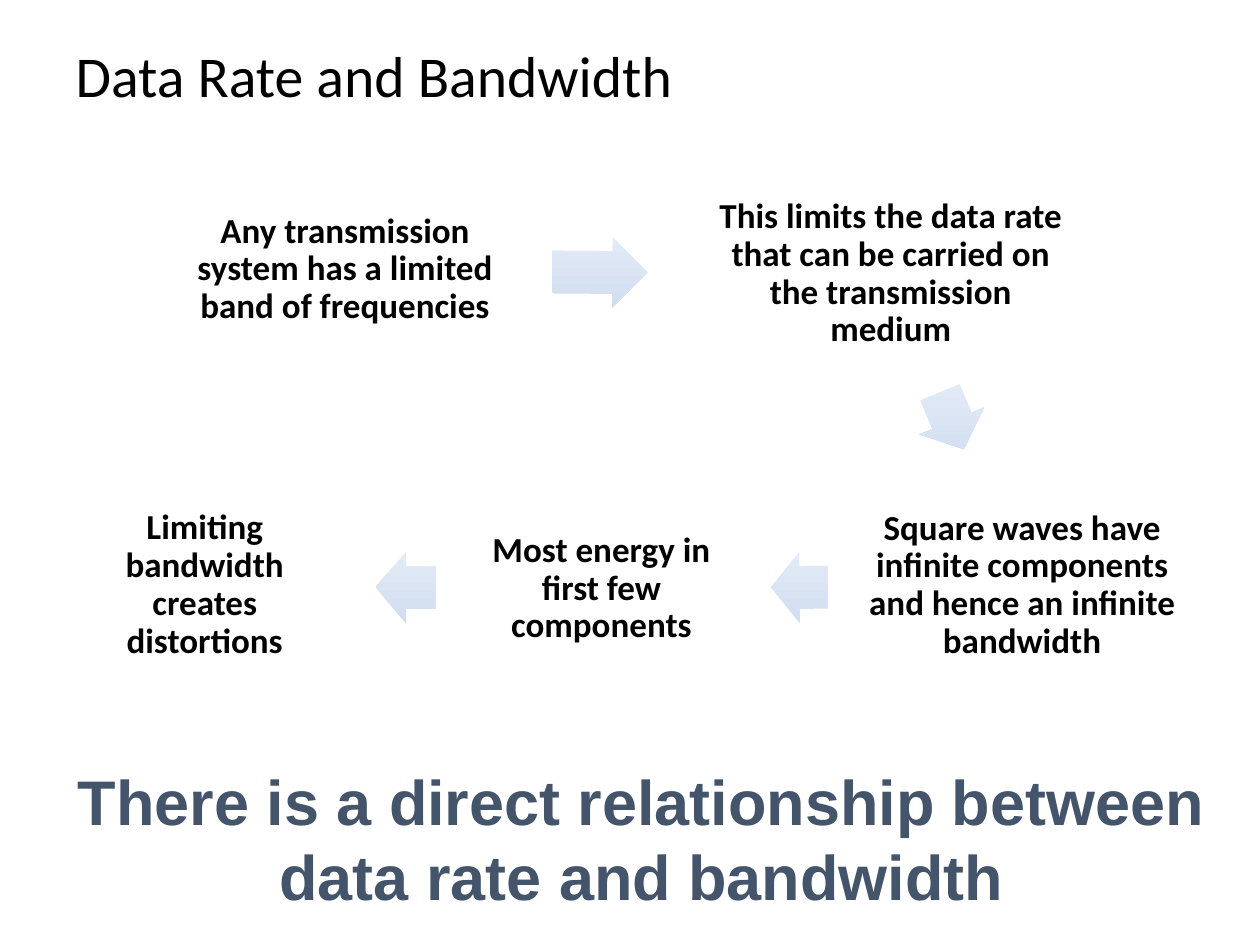
from dataclasses import dataclass

from pptx import Presentation
from pptx.dml.color import RGBColor
from pptx.enum.shapes import MSO_SHAPE
from pptx.enum.text import MSO_ANCHOR, MSO_AUTO_SIZE, PP_ALIGN
from pptx.util import Pt

ROUNDED = MSO_SHAPE.ROUNDED_RECTANGLE
RIGHT_ARROW = MSO_SHAPE.RIGHT_ARROW
MIDDLE = MSO_ANCHOR.MIDDLE
LEFT, CENTER = PP_ALIGN.LEFT, PP_ALIGN.CENTER
NO_FIT, GROW = MSO_AUTO_SIZE.NONE, MSO_AUTO_SIZE.SHAPE_TO_FIT_TEXT

WHITE = RGBColor(0xFF, 0xFF, 0xFF)
BLACK = RGBColor(0x00, 0x00, 0x00)
SLATE = RGBColor(0x44, 0x54, 0x6A)
ARROW_TOP = RGBColor(0xE3, 0xEB, 0xF6)
ARROW_BOTTOM = RGBColor(0xD0, 0xDE, 0xF1)

ARROW_HEIGHT = 40.3
CARD_MARGIN = Pt(5.75)
TITLE_FONT = {"name": "Calibri", "size": Pt(33), "bold": False}
CARD_FONT = {"name": "Calibri", "size": Pt(20), "bold": True}
CONCLUSION_FONT = {"name": "Arial", "size": Pt(36), "bold": True}


@dataclass(frozen=True)
class Card:
    text: str
    left: float
    top: float
    width: float
    height: float


@dataclass(frozen=True)
class Arrow:
    left: float
    top: float
    width: float
    rotation: float


CARDS = [
    Card("Any transmission system has a limited band of frequencies",
         101.9, 96.2, 190.6, 115.6),
    Card("This limits the data rate that can be carried on the transmission medium",
         396, 102.2, 226, 108.7),
    Card("Square waves have infinite components and hence an infinite bandwidth",
         486.9, 271.6, 194.4, 126),
    Card("Most energy in first few components", 262.7, 287.9, 162, 97.2),
    Card("Limiting bandwidth creates distortions", 36, 285.8, 162, 97.2),
]
ARROWS = [
    Arrow(315.4, 135.4, 54.7, 0.4),
    Arrow(526.3, 220.3, 35.3, 67.3),
    Arrow(440.6, 315.4, 32.4, 179.5),
    Arrow(214.6, 315.4, 34.6, 180.5),
]
CONCLUSION = ["There is a direct relationship between", "data rate and bandwidth"]


def set_all(target, values: dict) -> None:
    for name, value in values.items():
        setattr(target, name, value)


def write_line(para, text: str, font: dict, color: RGBColor, **layout) -> None:
    span = para.add_run()
    span.text = text
    set_all(span.font, font)
    span.font.color.rgb = color
    set_all(para, layout)


def add_title(slide, text: str) -> None:
    title = slide.shapes.title
    set_all(title, {"left": Pt(36), "top": Pt(0), "width": Pt(648), "height": Pt(90)})
    set_all(title.text_frame, {"vertical_anchor": MIDDLE, "word_wrap": True,
                               "auto_size": NO_FIT})
    write_line(title.text_frame.paragraphs[0], text, TITLE_FONT, BLACK,
               alignment=LEFT, line_spacing=0.9)


def add_card(slide, card: Card) -> None:
    shape = slide.shapes.add_shape(ROUNDED, Pt(card.left), Pt(card.top),
                                   Pt(card.width), Pt(card.height))
    shape.shadow.inherit = False
    shape.adjustments[0] = 0.1
    shape.fill.solid()
    shape.fill.fore_color.rgb = WHITE
    shape.line.fill.background()
    frame = shape.text_frame
    set_all(frame, {"word_wrap": True, "vertical_anchor": MIDDLE})
    set_all(frame, {f"margin_{side}": CARD_MARGIN
                    for side in ("left", "top", "right", "bottom")})
    write_line(frame.paragraphs[0], card.text, CARD_FONT, BLACK,
               alignment=CENTER, line_spacing=0.9)


def add_arrow(slide, arrow: Arrow) -> None:
    """Draw an arrow whose gradient runs down the slide whatever its rotation."""
    shape = slide.shapes.add_shape(RIGHT_ARROW, Pt(arrow.left), Pt(arrow.top),
                                   Pt(arrow.width), Pt(ARROW_HEIGHT))
    shape.shadow.inherit = False
    shape.rotation = arrow.rotation
    shape.adjustments[0] = 0.6
    shape.adjustments[1] = 0.5
    shape.line.fill.background()
    shape.fill.gradient()
    shape.fill.gradient_angle = (270 + arrow.rotation) % 360
    for stop, color in zip(shape.fill.gradient_stops, (ARROW_TOP, ARROW_BOTTOM)):
        stop.color.rgb = color


def add_conclusion(slide, lines: list[str]) -> None:
    box = slide.shapes.add_textbox(Pt(-306), Pt(432), Pt(1345), Pt(94.3))
    frame = box.text_frame
    set_all(frame, {"word_wrap": True, "auto_size": GROW})
    for index, line in enumerate(lines):
        para = frame.add_paragraph() if index else frame.paragraphs[0]
        write_line(para, line, CONCLUSION_FONT, SLATE, alignment=CENTER)


def main() -> None:
    deck = Presentation()
    set_all(deck, {"slide_width": Pt(720), "slide_height": Pt(540)})
    slide = deck.slides.add_slide(deck.slide_layouts.get_by_name("Title Only"))
    add_title(slide, "Data Rate and Bandwidth")
    for card in CARDS:
        add_card(slide, card)
    for arrow in ARROWS:
        add_arrow(slide, arrow)
    add_conclusion(slide, CONCLUSION)
    deck.save("out.pptx")


if __name__ == "__main__":
    main()
